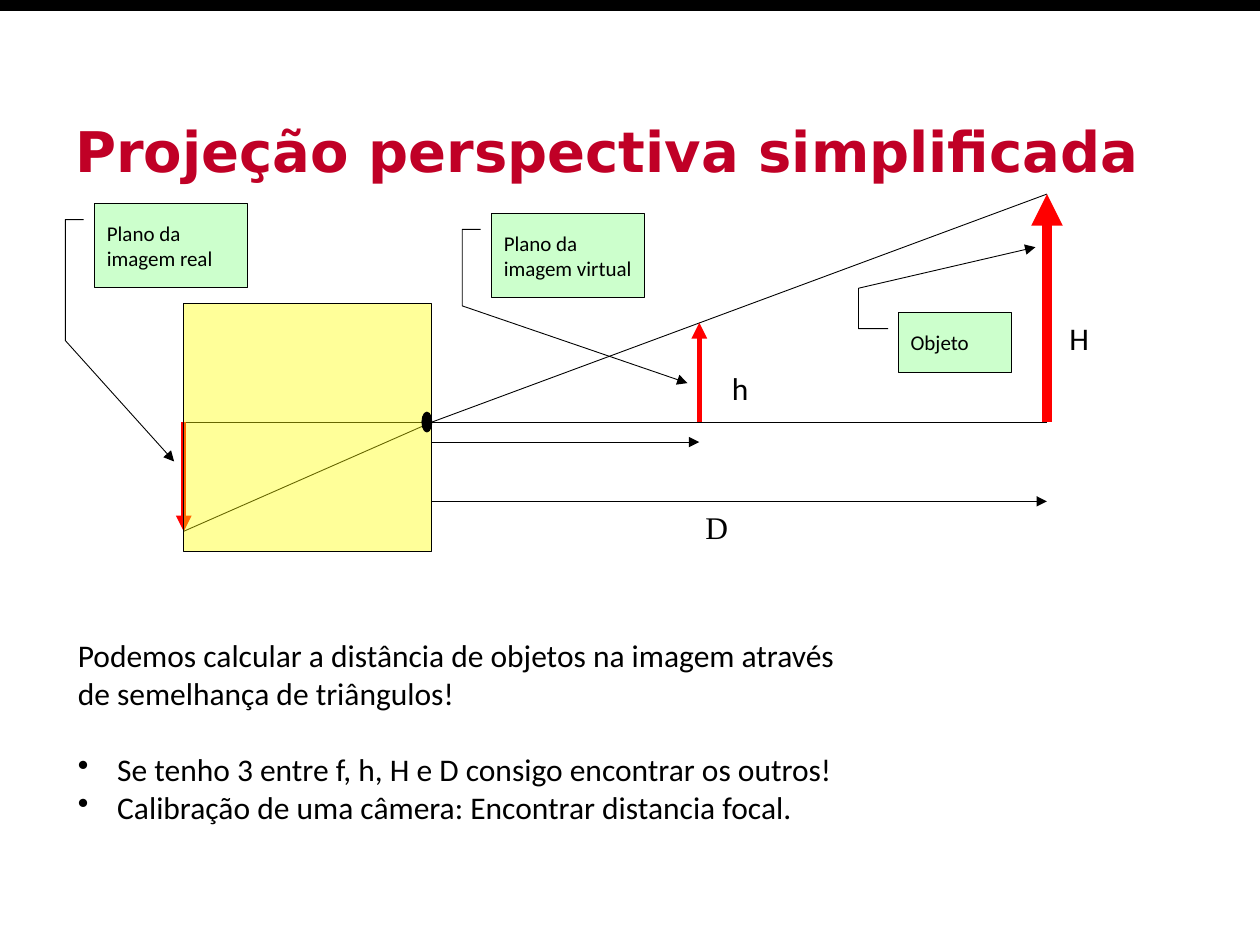
import lxml.etree
import pptx
import pptx.dml.color
import pptx.enum.shapes
import pptx.enum.text
import pptx.oxml.ns
import pptx.util

COLORS = {
    "black": "000000",
    "red": "FF0000",
    "title": "C00026",
    "yellow": "FFFF00",
    "green": "CCFFCC",
}
SHAPES = pptx.enum.shapes.MSO_SHAPE
ANCHOR = pptx.enum.text.MSO_ANCHOR
THIN = 0.5


def points(*values):
    return [pptx.util.Pt(value) for value in values]


def rgb(name):
    return pptx.dml.color.RGBColor.from_string(COLORS[name])


def add_element(parent, tag, **attributes):
    return lxml.etree.SubElement(parent, pptx.oxml.ns.qn(tag), attributes)


def write_text(paragraph, text, size=18, font="Calibri", color="black",
               bold=False, bullet=None, indent=22.5, before=0):
    paragraph.alignment = pptx.enum.text.PP_ALIGN.LEFT
    paragraph.space_before = pptx.util.Pt(before)
    if bullet:
        properties = paragraph._p.get_or_add_pPr()
        properties.set("marL", str(pptx.util.Pt(indent)))
        properties.set("indent", str(-pptx.util.Pt(indent)))
        add_element(properties, "a:buChar", char=bullet)
    run = paragraph.add_run()
    run.text = text
    run.font.size = pptx.util.Pt(size)
    run.font.name = font
    run.font.bold = bold
    run.font.color.rgb = rgb(color)


class Diagram:
    def __init__(self, slide):
        self.slide = slide

    def outline(self, line, color, width, arrow=False):
        line.color.rgb = rgb(color)
        line.width = pptx.util.Pt(width)
        if arrow:
            add_element(line._get_or_add_ln(), "a:tailEnd", type="triangle")

    def line(self, start, end, color="black", width=THIN, arrow=False):
        connector = self.slide.shapes.add_connector(
            pptx.enum.shapes.MSO_CONNECTOR.STRAIGHT, *points(*start, *end))
        self.outline(connector.line, color, width, arrow)
        add_element(connector._element.spPr, "a:effectLst")

    def shape(self, kind, box, fill, border=True, alpha=None, arrow=False):
        shape = self.slide.shapes.add_shape(kind, *points(*box))
        shape.shadow.inherit = False
        shape.fill.solid()
        shape.fill.fore_color.rgb = rgb(fill)
        if alpha is not None:
            color = shape._element.spPr.find(".//" + pptx.oxml.ns.qn("a:srgbClr"))
            add_element(color, "a:alpha", val=str(alpha * 1000))
        if border:
            self.outline(shape.line, "black", THIN, arrow)
        else:
            shape.line.fill.background()
        return shape

    def callout(self, box, text, adjustments):
        shape = self.shape(SHAPES.LINE_CALLOUT_3, box, "green", arrow=True)
        for index, value in enumerate(adjustments):
            shape.adjustments[index] = value
        shape.text_frame.word_wrap = True
        shape.text_frame.vertical_anchor = ANCHOR.MIDDLE
        write_text(shape.text_frame.paragraphs[0], text, size=12)

    def text(self, box, entries, anchor=ANCHOR.TOP, grow=True):
        frame = self.slide.shapes.add_textbox(*points(*box)).text_frame
        frame.word_wrap = True
        frame.vertical_anchor = anchor
        if grow:
            frame.auto_size = pptx.enum.text.MSO_AUTO_SIZE.SHAPE_TO_FIT_TEXT
        for index, (text, style) in enumerate(entries):
            paragraph = frame.add_paragraph() if index else frame.paragraphs[0]
            write_text(paragraph, text, **style)


def main():
    presentation = pptx.Presentation()
    presentation.slide_width, presentation.slide_height = points(720, 540)
    diagram = Diagram(presentation.slides.add_slide(presentation.slide_layouts[6]))

    axis = 241.2
    image_x, pinhole_x, virtual_x, object_x = 105, 246.8, 399.6, 598.3
    pinhole = (pinhole_x, axis)
    object_base, object_tip = (object_x, axis), (object_x, 110.9)
    virtual_base, virtual_tip = (virtual_x, axis), (virtual_x, 184.5)
    image_base, image_tip = (image_x, axis), (image_x, 303.6)
    depth_y, focal_y = 286.5, 252.6

    diagram.shape(SHAPES.RECTANGLE, (0, 0, 720, 6.3), "black", border=False)
    diagram.line(pinhole, object_base)
    diagram.line(pinhole, object_tip)
    diagram.line(object_base, object_tip, "red", 6, arrow=True)
    diagram.line((pinhole_x, depth_y), (object_x, depth_y), arrow=True)
    diagram.line(virtual_base, virtual_tip, "red", 3, arrow=True)
    diagram.text((411.1, 207.4, 34, 29), [("h", {})])
    diagram.text((604, 178.6, 34, 29), [("H", {})])
    diagram.line((pinhole_x, focal_y), (virtual_x, focal_y), arrow=True)
    diagram.text((396, 286.5, 27.5, 29), [("D", {"font": "Times New Roman"})])
    diagram.line(pinhole, image_base)
    diagram.line(image_base, image_tip, "red", 3, arrow=True)
    diagram.line(pinhole, image_tip)

    side = pinhole_x - image_x
    diagram.shape(SHAPES.RECTANGLE, (image_x, 173.4, side, side), "yellow", alpha=40)
    diagram.shape(SHAPES.OVAL, (241.1, axis - 5.7, 5.7, 11.4), "black")

    diagram.callout((54, 116.4, 87.6, 48), "Plano da imagem real",
                    (0.19, -0.07, 0.19, -0.19, 1.63, -0.19, 3.07, 0.52))
    diagram.callout((280.8, 122, 87.6, 48), "Plano da imagem virtual",
                    (0.19, -0.07, 0.19, -0.19, 1.1, -0.19, 2.02, 1.28))
    diagram.callout((513.3, 178.6, 64.8, 34), "Objeto",
                    (0.27, -0.09, 0.27, -0.35, -0.41, -0.35, -1.1, 1.21))

    bullet = {"bullet": "•"}
    diagram.text((37.4, 360, 464.4, 140.4), [
        ("Podemos calcular a distância de objetos na imagem através "
         "de semelhança de triângulos!", {}),
        ("Se tenho 3 entre f, h, H e D consigo encontrar os outros!",
         {**bullet, "before": 22}),
        ("Calibração de uma câmera: Encontrar distancia focal.", bullet),
    ])
    diagram.text((36, 61.2, 648, 49), [
        ("Projeção perspectiva simplificada",
         {"size": 32, "font": "DejaVu Sans", "color": "title", "bold": True}),
    ], anchor=ANCHOR.MIDDLE, grow=False)

    presentation.save("out.pptx")


if __name__ == "__main__":
    main()
